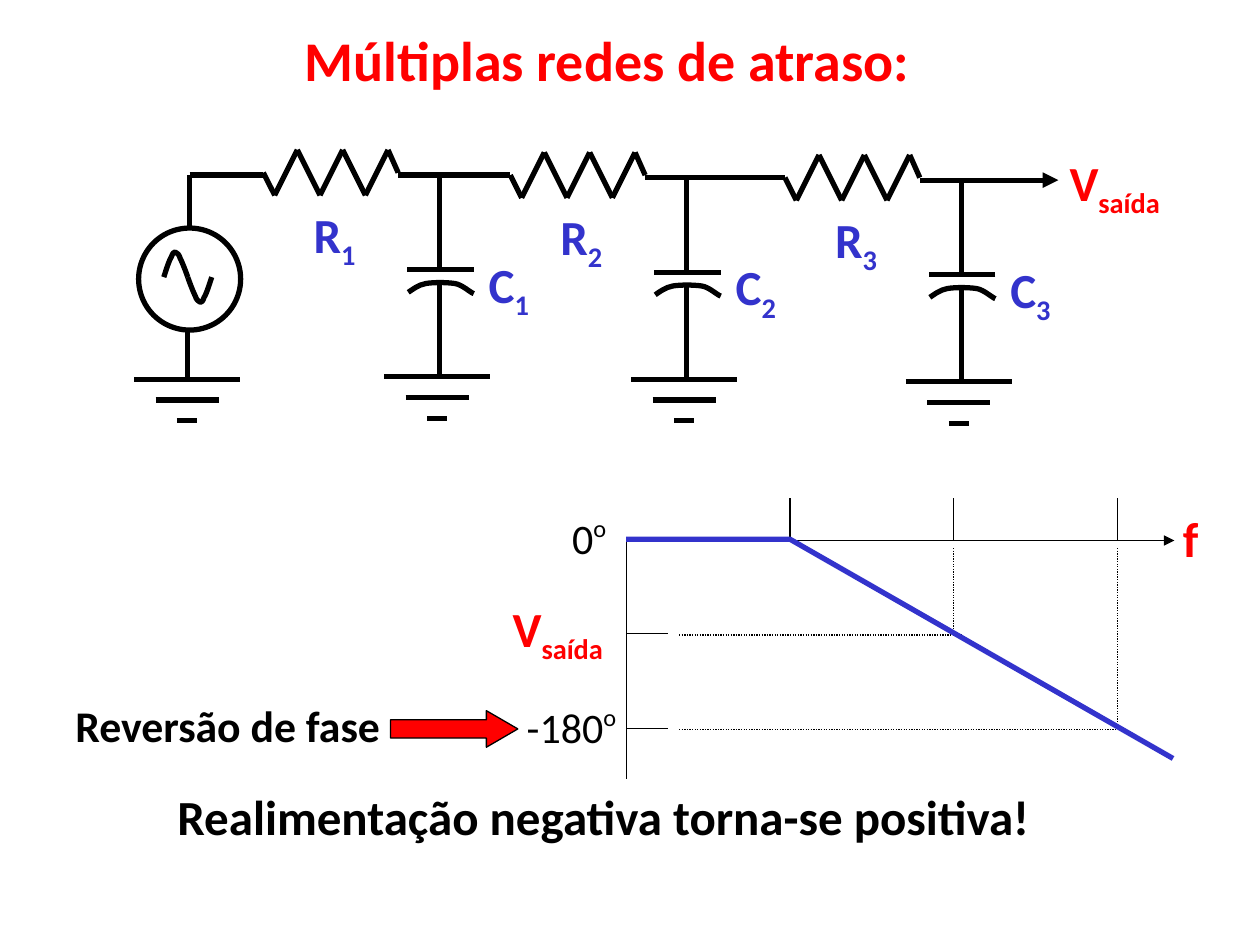
import pptx
import pptx.util
import pptx.dml.color
import pptx.enum.dml
import pptx.enum.shapes
import pptx.enum.text
import pptx.oxml

Inches, Pt = pptx.util.Inches, pptx.util.Pt
Align = pptx.enum.text.PP_ALIGN
Shape = pptx.enum.shapes.MSO_SHAPE
HEX = {"ink": "000000", "red": "FF0000", "blue": "3333CC"}
FONT = {"name": "Calibri", "bold": True}
FRAME = {"word_wrap": False,
         "auto_size": pptx.enum.text.MSO_AUTO_SIZE.SHAPE_TO_FIT_TEXT,
         "vertical_anchor": pptx.enum.text.MSO_ANCHOR.TOP,
         "margin_left": Inches(0.1), "margin_right": Inches(0.1),
         "margin_top": Inches(0.05), "margin_bottom": Inches(0.05)}
NS = 'xmlns:a="http://schemas.openxmlformats.org/drawingml/2006/main"'


def rgb(key):
    return pptx.dml.color.RGBColor.from_string(HEX[key])


def put(item, values):
    for name, value in values.items():
        setattr(item, name, value)


def node(text):
    return pptx.oxml.parse_xml(f"<a:{text} {NS}/>")


def place(shape, box):
    names = ("left", "top", "width", "height")
    put(shape, dict(zip(names, map(Inches, box))))


def stroke(shape, width, hue="ink"):
    shape.line.color.rgb = rgb(hue)
    shape.line.width = Pt(width)


def write(shape, parts, size, hue, align=Align.LEFT, bold=True):
    """Parts are pairs of text and baseline shift in percent."""
    put(shape.text_frame, FRAME)
    para = shape.text_frame.paragraphs[0]
    para.alignment = align
    for text, shift in parts:
        run = para.add_run()
        run.text = text
        put(run.font, {**FONT, "bold": bold, "size": Pt(size)})
        run.font.color.rgb = rgb(hue)
        if shift:
            run._r.get_or_add_rPr().set("baseline", str(shift * 1000))


def label(slide, box, parts, size=28, hue="blue", **more):
    shape = slide.shapes.add_textbox(*map(Inches, box))
    write(shape, parts, size, hue, **more)


def output(slide, x, y):
    label(slide, (x, y, 0.94, 0.63), [("V", 0), ("saída", -25)], hue="red")


def wire(slide, x1, y1, x2, y2, width=3, dash=False, arrow=False):
    kind = pptx.enum.shapes.MSO_CONNECTOR.STRAIGHT
    line = slide.shapes.add_connector(kind, *map(Inches, (x1, y1, x2, y2)))
    stroke(line, width)
    if dash:
        line.line.dash_style = pptx.enum.dml.MSO_LINE.ROUND_DOT
    if arrow:
        tip = node("tailEnd")
        tip.set("type", "triangle")
        line.line._get_or_add_ln().append(tip)
    line._element.spPr.append(node("effectLst"))


def trace(slide, x, y, dots, hue="ink", bend=False):
    """Draw an open outline through dots relative to x, y; bend makes cubics."""
    spots = [(Inches(x + dx), Inches(y + dy)) for dx, dy in dots]
    pen = slide.shapes.build_freeform(*spots[0], scale=1.0)
    pen.add_line_segments(spots[1:], close=False)
    shape = pen.convert_to_shape()
    shape.shadow.inherit = False
    shape.fill.background()
    stroke(shape, 3, hue)
    legs = shape._element.xpath(".//a:lnTo") if bend else []
    for i in range(0, len(legs), 3):
        cubic = node("cubicBezTo")
        legs[i].addprevious(cubic)
        for leg in legs[i:i + 3]:
            cubic.append(leg[0])
            leg.getparent().remove(leg)


def ground(slide, x, y):
    for i, half in enumerate((0.42, 0.25, 0.08)):
        wire(slide, x - half, y + 0.165 * i, x + half, y + 0.165 * i)


def source(slide, box):
    x, y, wide, high = box
    mid = x + wide / 2
    ring = slide.shapes.add_shape(Shape.OVAL, *map(Inches, box))
    ring.shadow.inherit = False
    ring.fill.background()
    stroke(ring, 3)
    # Sine sign: one half wave, then the same turned half round
    half = [(0, 0), (-0.01, -0.03), (-0.04, -0.11), (-0.06, -0.15),
            (-0.07, -0.18), (-0.08, -0.19), (-0.1, -0.2),
            (-0.11, -0.2), (-0.12, -0.19), (-0.13, -0.16),
            (-0.15, -0.13), (-0.18, -0.03), (-0.19, 0)]
    for turn in (1, -1):
        wave = [(turn * dx, turn * dy) for dx, dy in half]
        trace(slide, mid - 0.015, y + 0.39, wave, bend=True)
    # Leads
    wire(slide, mid - 0.015, y + high, mid - 0.015, y + 1.2)
    wire(slide, mid, y, mid, y - 0.42)
    wire(slide, mid, y - 0.42, 2.09, y - 0.42)
    ground(slide, mid - 0.02, y + 1.2)


def stage(slide, box, mark, arrow=False):
    x, y, wide, high = box
    # Resistor: five slopes between two short ends
    peaks = [(0.09 + 0.18 * i, -0.2 if i % 2 else 0.16) for i in range(6)]
    for (x1, y1), (x2, y2) in zip(peaks, peaks[1:]):
        wire(slide, x + x1, y + y1, x + x2, y + y2)
    trace(slide, x, y, [(0, -0.02), peaks[0]])
    trace(slide, x, y, [peaks[-1], (1.07, -0.02)])
    label(slide, (x + 0.3, y + 0.18, 0.53, 0.63), [("R", 0), (mark, -25)])
    # Capacitor
    mid = x + 1.4
    wire(slide, mid, y, mid, y + 0.75)
    wire(slide, mid + 0.27, y + 0.75, mid - 0.26, y + 0.75)
    plate = [(0.27, 0.94), (0.24, 0.93), (0.18, 0.87), (0.12, 0.86),
             (0.05, 0.85), (-0.05, 0.85), (-0.11, 0.86),
             (-0.17, 0.87), (-0.22, 0.91), (-0.25, 0.93)]
    trace(slide, mid, y, plate, bend=True)
    wire(slide, mid, y + 0.85, mid, y + high)
    ground(slide, mid - 0.02, y + high)
    label(slide, (mid + 0.29, y + 0.58, 0.52, 0.63), [("C", 0), (mark, -25)])
    # Output lead
    wire(slide, x + 1.07, y, x + wide, y, arrow=arrow)


def plot(slide, box):
    x, y, wide, high = box
    dx, dy = 1.3, 0.75
    # Axes and ticks
    wire(slide, x, y + high, x, y, 0.75)
    wire(slide, x, y + 0.01, x + wide, y + 0.01, 0.75, arrow=True)
    for i in (1, 2):
        wire(slide, x, y + dy * i, x + 0.33, y + dy * i, 0.75)
    for i in (1, 2, 3):
        wire(slide, x + dx * i, y + 0.01, x + dx * i, y - 0.33, 0.75)
    # Guides
    for i, end in ((1, 2.67), (2, 3.92)):
        across, down = x + dx * (i + 1), y + dy * i
        wire(slide, x + 0.42, down + 0.01, x + end, down + 0.01, 0.75, dash=True)
        wire(slide, across, y + 0.07, across, down, 0.75, dash=True)
    # Phase curve
    trace(slide, x, y, [(0, 0), (dx, 0), (4.34, 1.74)], "blue")
    # Labels
    for left, top, width, text in ((-0.75, -0.26, 0.69, "0"),
                                   (-0.96, 1.24, 0.98, "-180")):
        label(slide, (x + left, y + top, width, 0.5), [(text, 0), ("o", 40)],
              24, "ink", align=Align.RIGHT, bold=False)
    output(slide, x - 1, y + 0.42)
    label(slide, (x + 4.32, y - 0.29, 0.32, 0.57), [("f", 0)], hue="red")


def note(slide, box):
    x, y, wide, high = box
    label(slide, (x, y, 2.64, high), [("Reversão de fase", 0)], 25, "ink")
    spot = (x + 2.6, y + 0.14, wide - 2.6, 0.29)
    arrow = slide.shapes.add_shape(Shape.RIGHT_ARROW, *map(Inches, spot))
    arrow.shadow.inherit = False
    arrow.adjustments[1] = 0.86
    arrow.fill.solid()
    arrow.fill.fore_color.rgb = rgb("red")
    stroke(arrow, 0.75)


def main():
    deck = pptx.Presentation()
    put(deck, {"slide_width": Inches(10), "slide_height": Inches(7.5)})
    slide = deck.slides.add_slide(deck.slide_layouts[5])
    # Title
    title = slide.shapes.title
    place(title, (2.31, 0.15, 5.02, 0.64))
    write(title, [("Múltiplas redes de atraso:", 0)], 32, "red", align=Align.CENTER)
    # Circuit
    source(slide, (1.1, 1.81, 0.81, 0.81))
    for i, (left, wide) in enumerate(((2.09, 1.96), (4.05, 2.18), (6.23, 2.17))):
        stage(slide, (left, 1.39 + 0.02 * i, wide, 1.6), str(i + 1), arrow=i == 2)
    output(slide, 8.39, 1.16)
    # Phase plot and conclusion
    plot(slide, (4.97, 4.28, 4.35, 1.9))
    note(slide, (0.5, 5.5, 3.61, 0.52))
    label(slide, (1.31, 6.19, 7, 0.57),
          [("Realimentação negativa torna-se positiva!", 0)], hue="ink")
    deck.save("out.pptx")


if __name__ == "__main__":
    main()
